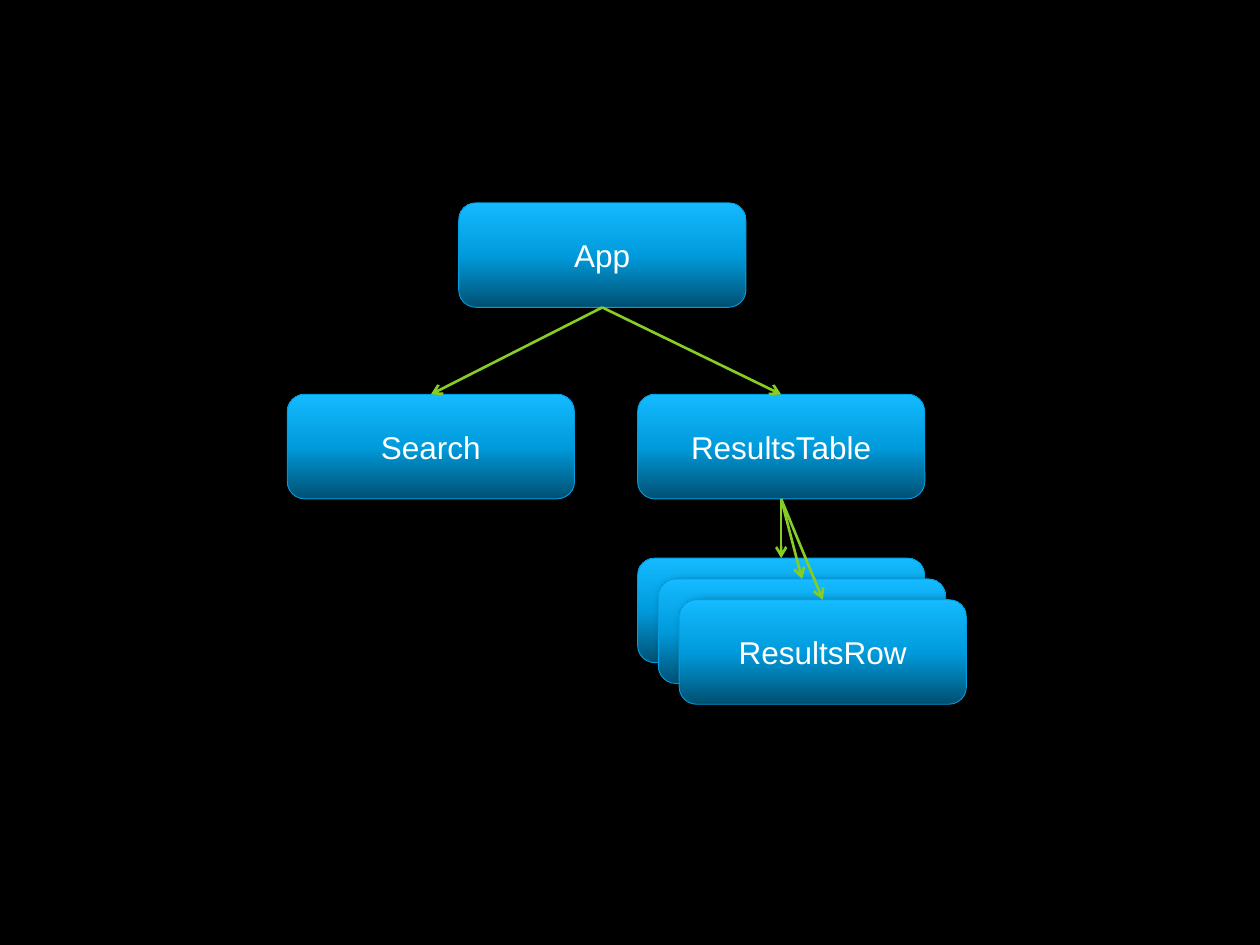
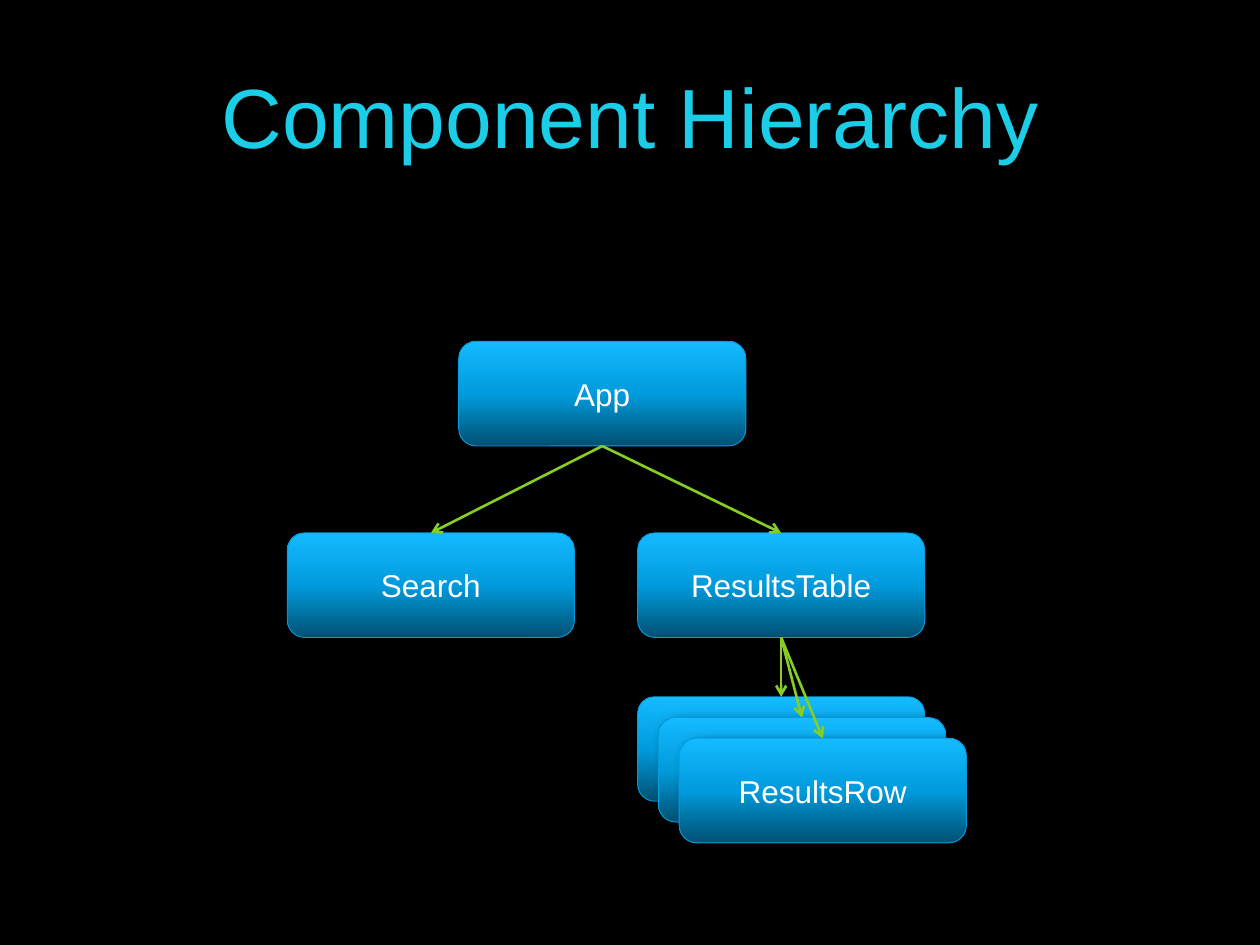
"""Build two slides that show a component tree, without and with a title."""
from lxml import etree
from pptx import Presentation
from pptx.dml.color import RGBColor
from pptx.enum.shapes import MSO_CONNECTOR, MSO_SHAPE
from pptx.enum.text import MSO_ANCHOR, PP_ALIGN
from pptx.oxml import parse_xml
from pptx.oxml.ns import nsdecls, qn
from pptx.util import Inches, Pt

ROUND = MSO_SHAPE.ROUNDED_RECTANGLE
LINE = MSO_CONNECTOR.STRAIGHT
MIDDLE = MSO_ANCHOR.MIDDLE
CENTER = PP_ALIGN.CENTER

BLACK = RGBColor(0x00, 0x00, 0x00)
WHITE = RGBColor(0xFF, 0xFF, 0xFF)
CYAN = RGBColor(0x1C, 0xCD, 0xE7)
EDGE = RGBColor(0x00, 0x9E, 0xE1)
GREEN = RGBColor(0x86, 0xCE, 0x24)
DEEP = RGBColor(0x00, 0x50, 0x72)
BLUE = RGBColor(0x00, 0x9B, 0xDC)
BRIGHT = RGBColor(0x15, 0xBA, 0xFF)
STOPS = [(0, DEEP), (50, BLUE), (100, BRIGHT)]
FONT = "Arial"

BLANK, TITLED = 6, 5
SLIDES = [
    {"layout": BLANK, "title": None, "top": 1.61},
    {"layout": TITLED, "title": "Component Hierarchy", "top": 2.71},
]
WIDE, HIGH = 2.28, 0.83
STEP = 0.165
NODES = {
    "app": ("App", 3.64, 0),
    "search": ("Search", 2.28, 1.52),
    "table": ("ResultsTable", 5.06, 1.52),
}
for i in range(3):
    NODES[f"row{i}"] = ("ResultsRow", 5.06 + i * STEP, 2.82 + i * STEP)
LINKS = [("app", "search"), ("app", "table"),
         ("table", "row2"), ("table", "row1"), ("table", "row0")]


def write(frame, text, size, color):
    frame.vertical_anchor = MIDDLE
    para = frame.paragraphs[0]
    para.alignment = CENTER
    run = para.add_run()
    run.text = text
    run.font.name = FONT
    run.font.size = Pt(size)
    run.font.color.rgb = color


def shade(shape):
    stops = "".join(
        f'<a:gs pos="{at * 1000}"><a:srgbClr val="{color}"/></a:gs>'
        for at, color in STOPS)
    fill = parse_xml(
        f'<a:gradFill {nsdecls("a")} rotWithShape="1"><a:gsLst>{stops}'
        '</a:gsLst><a:lin ang="16200000" scaled="0"/></a:gradFill>')
    props = shape.element.spPr
    props.find(qn("a:prstGeom")).addnext(fill)
    props.append(parse_xml(
        f'<a:effectLst {nsdecls("a")}><a:outerShdw blurRad="{Pt(7)}" '
        f'dist="{Pt(4)}" dir="2100000" rotWithShape="0">'
        f'<a:srgbClr val="{BLACK}"><a:alpha val="55000"/></a:srgbClr>'
        '</a:outerShdw></a:effectLst>'))


def add_box(slide, text, left, top):
    box = slide.shapes.add_shape(
        ROUND, Inches(left), Inches(top), Inches(WIDE), Inches(HIGH))
    box.line.color.rgb = EDGE
    box.line.width = Pt(0.5)
    shade(box)
    write(box.text_frame, text, 18, WHITE)
    return box


def add_link(slide, start, end):
    link = slide.shapes.add_connector(LINE, 0, 0, 0, 0)
    link.begin_connect(start, 2)
    link.end_connect(end, 0)
    link.line.color.rgb = GREEN
    link.line.width = Pt(1.5)
    props = link.element.spPr
    etree.SubElement(props.find(qn("a:ln")), qn("a:tailEnd"), type="arrow")
    etree.SubElement(props, qn("a:effectLst"))


def add_title(slide, text):
    title = slide.shapes.title
    title.left, title.top = Inches(0.75), Inches(0.13)
    title.width, title.height = Inches(8.5), Inches(1.56)
    write(title.text_frame, text, 48, CYAN)


def add_tree(slide, top):
    boxes = {key: add_box(slide, text, left, top + drop)
             for key, (text, left, drop) in NODES.items()}
    for start, end in LINKS:
        add_link(slide, boxes[start], boxes[end])


deck = Presentation()
deck.slide_width, deck.slide_height = Inches(10), Inches(7.5)
back = deck.slide_master.background.fill
back.solid()
back.fore_color.rgb = BLACK
for page in SLIDES:
    slide = deck.slides.add_slide(deck.slide_layouts[page["layout"]])
    if page["title"]:
        add_title(slide, page["title"])
    add_tree(slide, page["top"])
deck.save("out.pptx")
